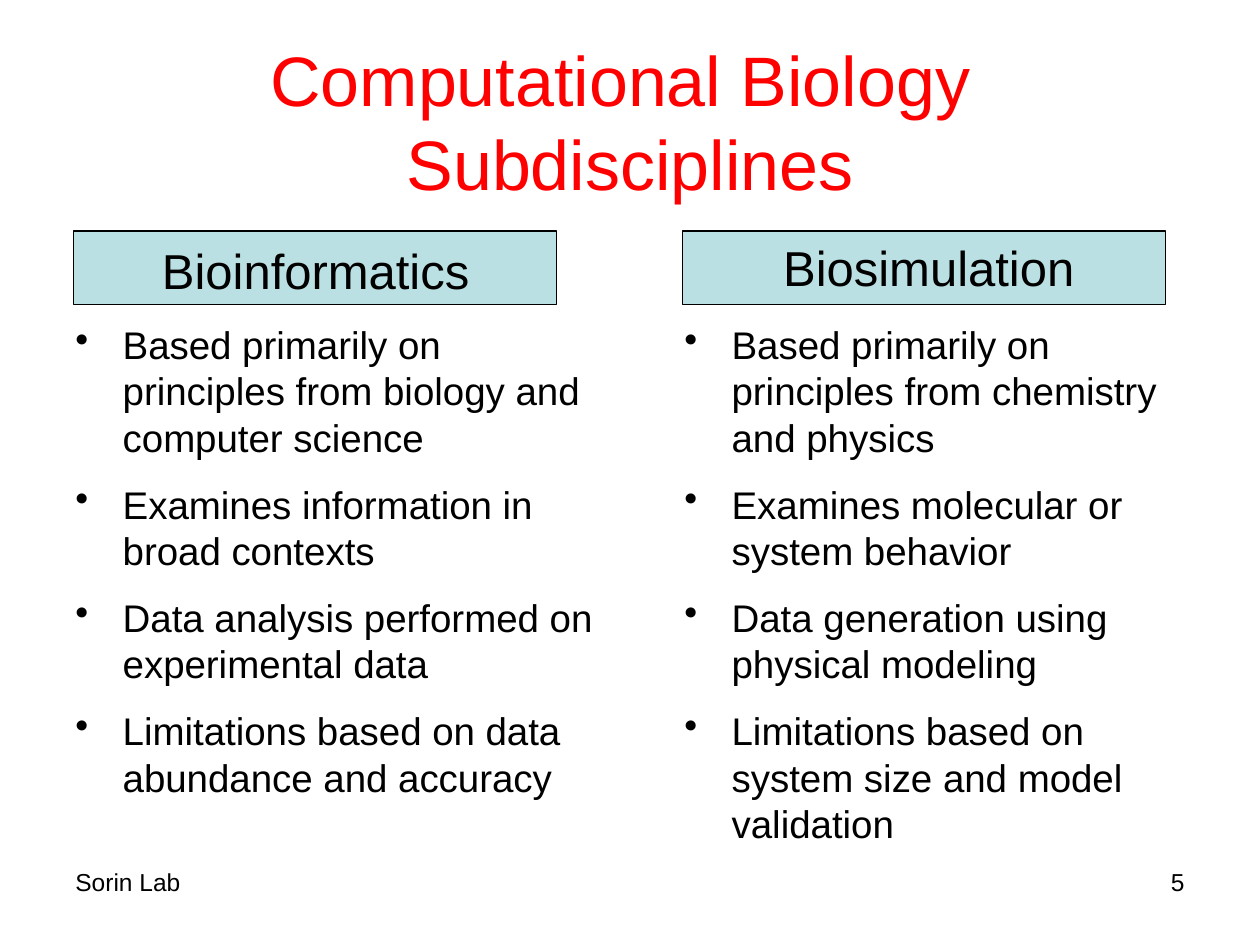
import dataclasses
import lxml.etree
import pptx
import pptx.dml.color
import pptx.enum.shapes
import pptx.enum.text
import pptx.oxml.ns
import pptx.util

Pt = pptx.util.Pt
Align = pptx.enum.text.PP_ALIGN
Fit = pptx.enum.text.MSO_AUTO_SIZE
Anchor = pptx.enum.text.MSO_ANCHOR


@dataclasses.dataclass(frozen=True)
class Theme:
    font: str = "Arial"
    ink: str = "000000"
    title: str = "FF0000"
    band: str = "BBE0E3"
    title_size: float = 40
    head_size: float = 28
    body_size: float = 22
    foot_size: float = 14


def color(code):
    return pptx.dml.color.RGBColor.from_string(code)


def apply(item, values):
    for name, value in values.items():
        setattr(item, name, value)


def place(shape, box):
    names = ("left", "top", "width", "height")
    apply(shape, {name: Pt(size) for name, size in zip(names, box)})


def bullet(para, indent):
    """Hang the paragraph behind a round bullet."""
    props = para._p.get_or_add_pPr()
    props.set("marL", str(Pt(indent)))
    props.set("indent", str(-Pt(indent)))
    mark = lxml.etree.SubElement(props, pptx.oxml.ns.qn("a:buChar"))
    mark.set("char", "•")


class Deck:
    def __init__(self, theme):
        self.theme = theme
        self.show = pptx.Presentation()
        apply(self.show, {"slide_width": Pt(720), "slide_height": Pt(540)})
        self.slide = None

    def add_slide(self):
        self.slide = self.show.slides.add_slide(self.show.slide_layouts[5])

    def style(self, para, size, ink=None, align=Align.LEFT):
        para.alignment = align
        apply(para.font, {"name": self.theme.font, "size": Pt(size)})
        para.font.color.rgb = color(ink or self.theme.ink)

    def title(self, text, box):
        shape = self.slide.shapes.title
        place(shape, box)
        frame = shape.text_frame
        frame.text = text
        apply(frame, {"auto_size": Fit.NONE, "vertical_anchor": Anchor.MIDDLE})
        self.style(frame.paragraphs[0], self.theme.title_size,
                   self.theme.title, Align.CENTER)

    def band(self, box):
        kind = pptx.enum.shapes.MSO_SHAPE.RECTANGLE
        shape = self.slide.shapes.add_shape(kind, *map(Pt, box))
        shape.shadow.inherit = False
        shape.fill.solid()
        shape.fill.fore_color.rgb = color(self.theme.band)
        shape.line.color.rgb = color(self.theme.ink)
        shape.line.width = Pt(0.75)

    def text(self, text, box, size, align=Align.LEFT, wrap=True, fit=Fit.NONE):
        frame = self.slide.shapes.add_textbox(*map(Pt, box)).text_frame
        apply(frame, {"text": text, "word_wrap": wrap, "auto_size": fit})
        self.style(frame.paragraphs[0], size, align=align)

    def bullets(self, items, box):
        frame = self.slide.shapes.add_textbox(*map(Pt, box)).text_frame
        apply(frame, {"text": "\n".join(items), "word_wrap": True})
        for spot, para in enumerate(frame.paragraphs):
            bullet(para, 27)
            para.space_before = Pt(12 if spot else 0)
            self.style(para, self.theme.body_size)


COLUMNS = [
    {
        "left": 36, "width": 312, "band": 42,
        "head": "Bioinformatics", "label": (85.5, 134, 191, 41),
        "items": [
            "Based primarily on principles from biology and computer science",
            "Examines information in broad contexts",
            "Data analysis performed on experimental data",
            "Limitations based on data abundance and accuracy",
        ],
    },
    {
        "left": 384, "width": 318, "band": 390,
        "head": "Biosimulation", "label": (440.5, 132, 183, 41),
        "items": [
            "Based primarily on principles from chemistry and physics",
            "Examines molecular or system behavior",
            "Data generation using physical modeling",
            "Limitations based on system size and model validation",
        ],
    },
]


def main():
    theme = Theme()
    deck = Deck(theme)
    deck.add_slide()
    deck.title("Computational Biology \vSubdisciplines", (36, 24, 648, 90))
    for col in COLUMNS:
        deck.band((col["band"], 132, 276, 42))
        deck.text(col["head"], col["label"], theme.head_size,
                  wrap=False, fit=Fit.SHAPE_TO_FIT_TEXT)
        deck.bullets(col["items"], (col["left"], 180, col["width"], 324))
    deck.text("Sorin Lab", (36, 492, 168, 37.5), theme.foot_size)
    deck.text("5", (516, 492, 168, 37.5), theme.foot_size, Align.RIGHT)
    deck.show.save("out.pptx")


if __name__ == "__main__":
    main()
